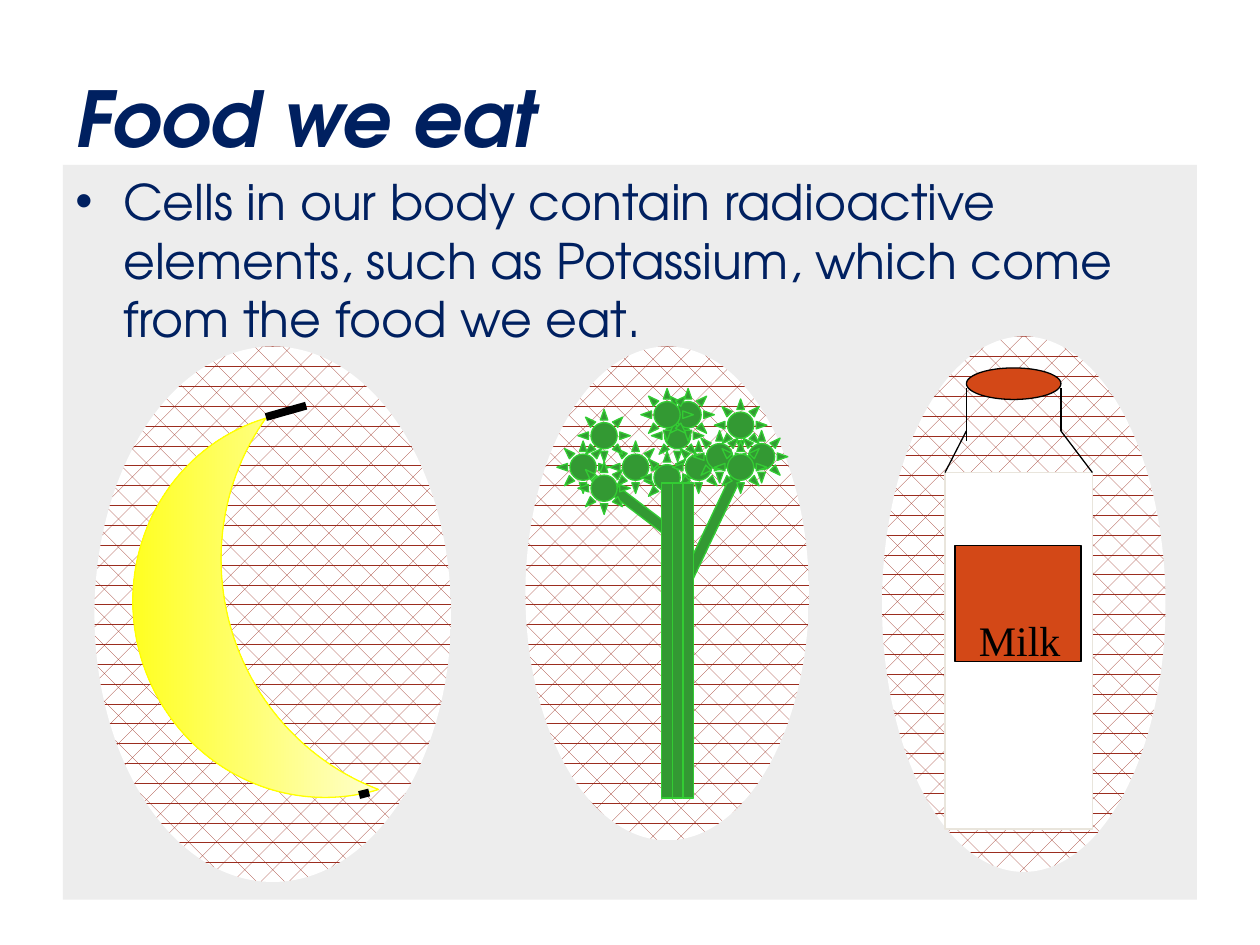
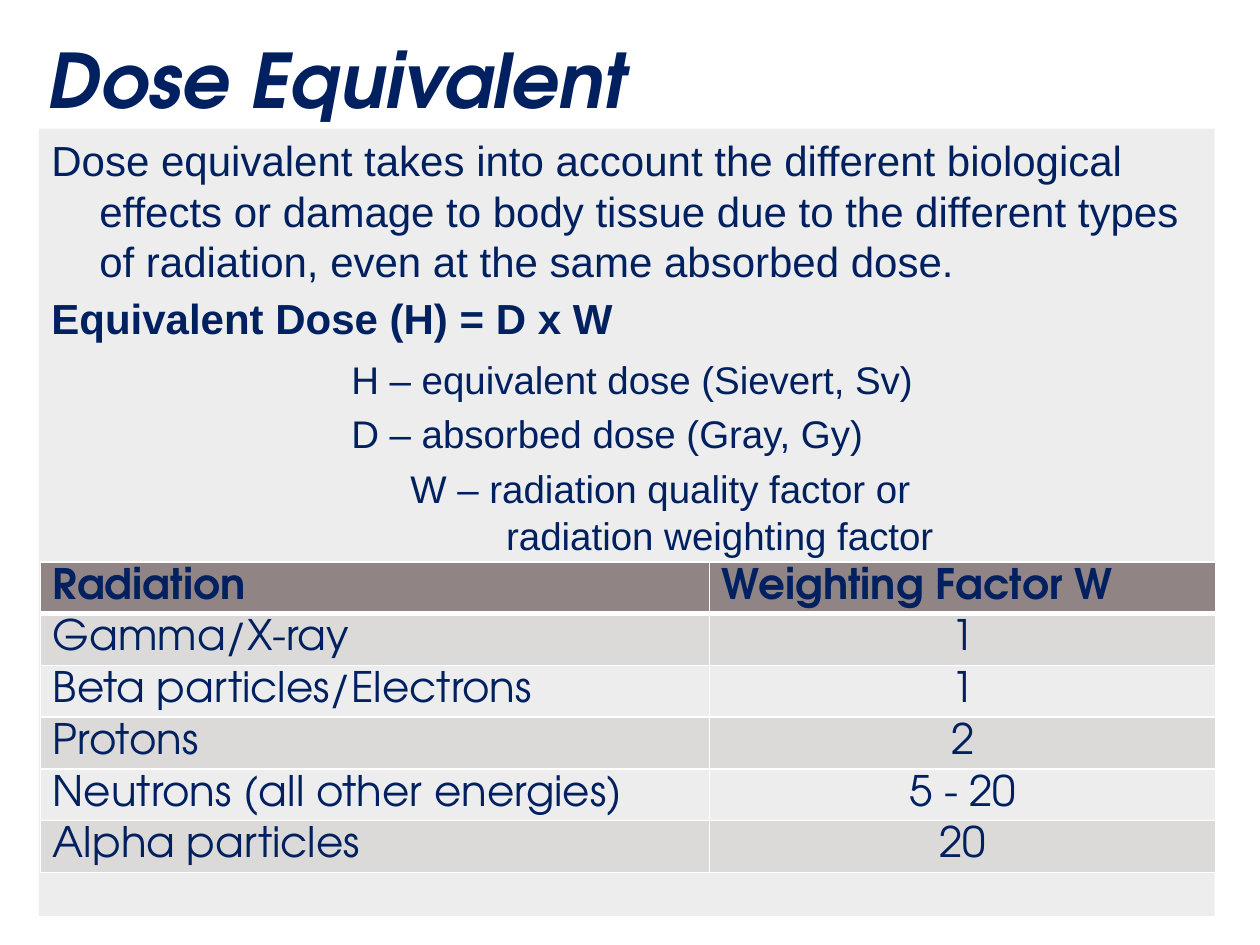
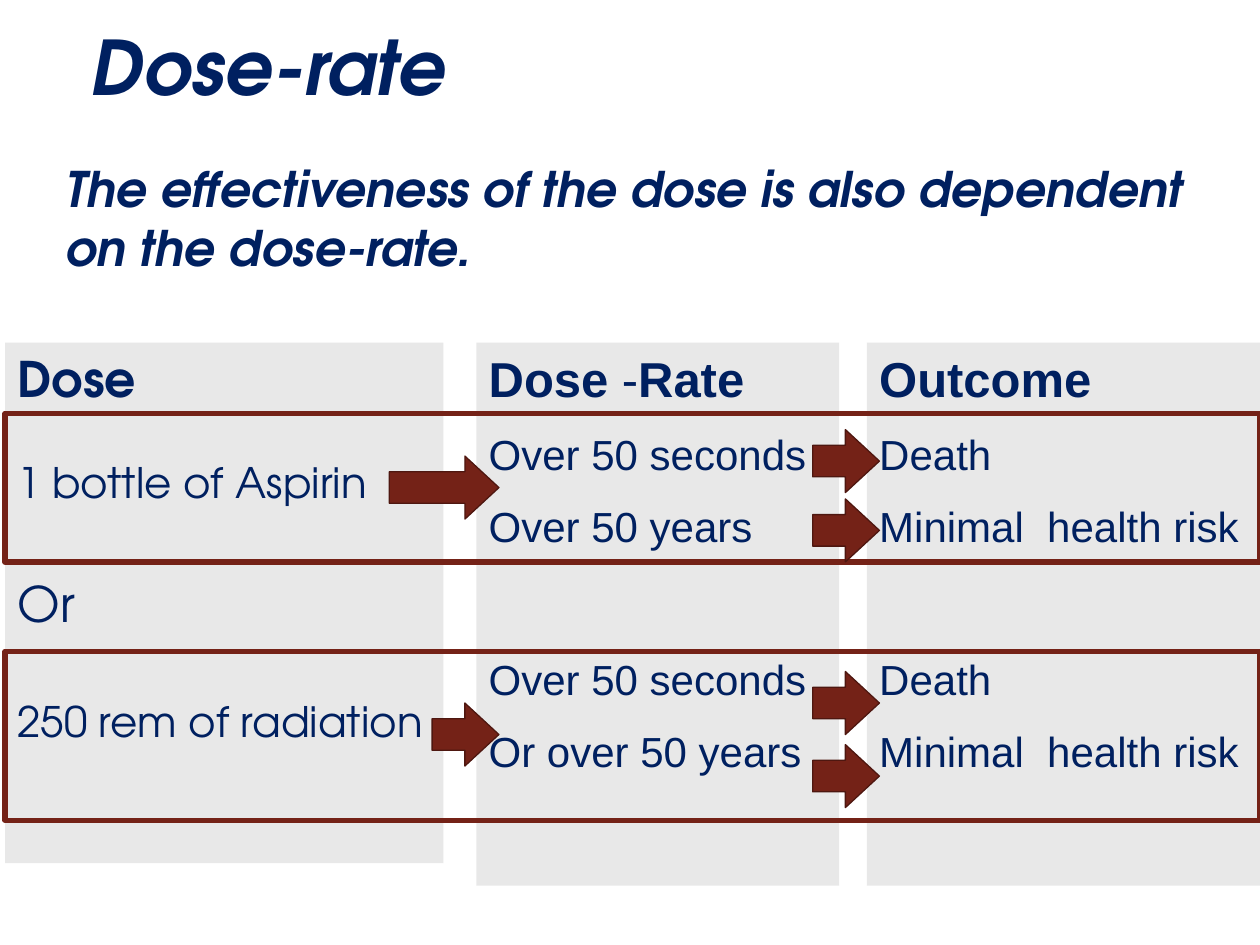
from pptx import Presentation
from pptx.util import Inches, Pt
from pptx.dml.color import RGBColor
from pptx.enum.shapes import MSO_SHAPE, MSO_CONNECTOR
from pptx.enum.dml import MSO_PATTERN
from pptx.enum.text import MSO_ANCHOR, PP_ALIGN
from pptx.oxml.ns import qn
from lxml.etree import SubElement, Element

NAVY, GREY, RUST, MAROON = "002060", "D9D9D9", "9B2D1F", "742217"
LEAF, LIME, CLAY, BLACK, WHITE = "339933", "33CC33", "D34817", "000000", "FFFFFF"
SANS, ROUND, SERIF = "Arial", "TeX Gyre Adventor", "Times New Roman"


def paint(color, code):
    color.rgb = RGBColor.from_string(code)


def style(run, size, face=ROUND, bold=False, italic=False, code=NAVY):
    font = run.font
    font.name, font.size = face, Pt(size)
    font.bold, font.italic = bold, italic
    paint(font.color, code)


def fill(shape, code):
    shape.fill.solid()
    paint(shape.fill.fore_color, code)


def edge(line, code, width=0.75):
    paint(line.color, code)
    line.width = Pt(width)


def add(shapes, kind, box, code=None, line=None, width=0.75):
    shape = shapes.add_shape(kind, *map(Inches, box))
    shape.shadow.inherit = False
    if code:
        fill(shape, code)
    else:
        shape.fill.background()
    if line:
        edge(shape.line, line, width)
    else:
        shape.line.fill.background()
    return shape


def stroke(shapes, start, end, width=0.75):
    line = shapes.add_connector(MSO_CONNECTOR.STRAIGHT, *map(Inches, start + end))
    edge(line.line, BLACK, width)
    SubElement(line.element.spPr, qn("a:effectLst"))


def panel(slide, box, alpha):
    shape = add(slide.shapes, MSO_SHAPE.RECTANGLE, box, GREY)
    color = shape.element.spPr.find(".//" + qn("a:srgbClr"))
    SubElement(color, qn("a:alpha"), val=str(alpha * 1000))
    frame = shape.text_frame
    frame.word_wrap = True
    frame.vertical_anchor = MSO_ANCHOR.TOP
    return frame


def para(frame, index, text, before=0, left=0, hang=0):
    item = frame.add_paragraph() if index else frame.paragraphs[0]
    item.text = text
    item.alignment = PP_ALIGN.LEFT
    if index:
        item.space_before = Pt(before)
    props = item._p.get_or_add_pPr()
    props.set("marL", str(Inches(left)))
    props.set("indent", str(Inches(-hang)))
    return item


def heading(slide, text, box, size=43, anchor=MSO_ANCHOR.MIDDLE):
    title = slide.shapes.title
    title.left, title.top, title.width, title.height = map(Inches, box)
    frame = title.text_frame
    frame.text = text
    frame.word_wrap = True
    frame.vertical_anchor = anchor
    frame.paragraphs[0].alignment = PP_ALIGN.LEFT
    style(frame.paragraphs[0].runs[0], size, bold=True, italic=True)


def plate(slide, box):
    oval = add(slide.shapes, MSO_SHAPE.OVAL, box)
    oval.fill.patterned()
    oval.fill.pattern = MSO_PATTERN.DIVOT
    paint(oval.fill.fore_color, RUST)
    paint(oval.fill.back_color, WHITE)


def banana(slide, box):
    plate(slide, box)
    x, y = box[:2]
    shapes = slide.shapes.add_group_shape().shapes
    moon = add(shapes, MSO_SHAPE.MOON, (x + 0.34, y + 0.72, 1.5, 3.08), line="FFFF00")
    moon.rotation = 343.1
    moon.fill.gradient()
    moon.fill.gradient_angle = 0
    for stop, code in zip(moon.fill.gradient_stops, ("FFFF00", "FFFFCC")):
        paint(stop.color, code)
    moon.element.spPr.find(qn("a:gradFill")).set("rotWithShape", "0")
    stroke(shapes, (x + 1.36, y + 0.56), (x + 1.68, y + 0.47), 4.5)
    stroke(shapes, (x + 2.1, y + 3.56), (x + 2.18, y + 3.54), 4.5)


def greens(slide, box):
    plate(slide, box)
    x, y = box[:2]
    shapes = slide.shapes.add_group_shape().shapes
    unit = 1 / 12
    for dx, dy, tall, turn in ((0.87, 0.96, 0.67, 307.2), (1.41, 0.83, 1.33, 25.4)):
        part = (x + dx, y + dy, unit, tall)
        add(shapes, MSO_SHAPE.RECTANGLE, part, LEAF, LIME).rotation = turn
    buds = ((3, 9), (5, 11), (8, 9), (11, 10), (12, 6), (14, 9), (5, 6),
            (20, 8), (13, 4), (11, 4), (18, 5), (16, 8), (18, 9))
    for col, row in buds:
        part = (x + col * unit, y + row * unit, 5 * unit, 5 * unit)
        add(shapes, MSO_SHAPE.SUN, part, LEAF, LIME)
    for col in (13, 15, 14):
        part = (x + col * unit, y + 13 * unit, unit, 2.5)
        add(shapes, MSO_SHAPE.RECTANGLE, part, LEAF, LIME)


def bottle(slide, box):
    plate(slide, box)
    x, y = box[:2]
    shapes = slide.shapes.add_group_shape().shapes
    add(shapes, MSO_SHAPE.OVAL, (x + 0.67, y + 0.25, 0.75, 0.25), CLAY, BLACK)
    add(shapes, MSO_SHAPE.RECTANGLE, (x + 0.5, y + 1.08, 1.17, 2.83), WHITE, "E9E5DC")
    for x1, y1, x2, y2 in ((0.67, 0.41, 0.67, 0.83), (1.42, 0.41, 1.42, 0.75),
                           (0.5, 1.08, 0.67, 0.75), (1.67, 1.08, 1.42, 0.75)):
        stroke(shapes, (x + x1, y + y1), (x + x2, y + y2))
    add(shapes, MSO_SHAPE.RECTANGLE, (x + 0.58, y + 1.66, 1, 0.92), CLAY, BLACK)
    label = shapes.add_textbox(*map(Inches, (x + 0.67, y + 2.16, 0.92, 0.5)))
    frame = label.text_frame
    frame.word_wrap = True
    frame.text = "Milk"
    style(frame.paragraphs[0].runs[0], 24, SERIF, code=BLACK)


def food(slide):
    heading(slide, "Food we eat", (0.5, 0.3, 9, 1.25), 44)
    frame = panel(slide, (0.5, 1.31, 9, 5.83), 47)
    item = para(frame, 0, "Cells in our body contain radioactive elements, such as "
                "Potassium, which come from the food we eat.", 0, 0.38, 0.38)
    props = item._p.get_or_add_pPr()
    SubElement(props, qn("a:buFont"), typeface=SANS)
    SubElement(props, qn("a:buChar"), char="•")
    style(item.runs[0], 28)
    banana(slide, (0.75, 2.75, 2.83, 4.25))
    bottle(slide, (7, 2.67, 2.25, 4.25))
    greens(slide, (4.17, 2.75, 2.25, 3.92))


def border(cell, head):
    props = cell._tc.get_or_add_tcPr()
    for index, side in enumerate("LRTB"):
        width = 3 if head and side == "B" else 1
        line = Element(qn("a:ln" + side), w=str(Pt(width)))
        solid = SubElement(line, qn("a:solidFill"))
        SubElement(solid, qn("a:srgbClr"), val=WHITE)
        props.insert(index, line)


def factors(slide, box, rows):
    grid = slide.shapes.add_table(len(rows), 2, *map(Inches, box)).table
    for col, wide in zip(grid.columns, (5.31, 4.02)):
        col.width = Inches(wide)
    for r, row in enumerate(rows):
        grid.rows[r].height = Inches(box[3] / len(rows))
        for c, text in enumerate(row):
            cell = grid.cell(r, c)
            cell.text = text
            item = cell.text_frame.paragraphs[0]
            item.alignment = PP_ALIGN.CENTER if r and c else PP_ALIGN.LEFT
            style(item.runs[0], 24, bold=r == 0)
            fill(cell, ("DCD9D9" if r % 2 else "EEEDED") if r else "918485")
            border(cell, r == 0)


def dose(slide):
    heading(slide, "Dose Equivalent", (0.28, 0, 9.61, 1.25))
    frame = panel(slide, (0.31, 1.02, 9.33, 6.25), 47)
    lines = (
        ("Dose equivalent takes into account the different biological effects or "
         "damage to body tissue due to the different types of radiation, even at "
         "the same absorbed dose.", 24, 0, 0.38, 0.38),
        ("Equivalent Dose (H) = D x W", 24, 4, 0.38, 0.38),
        ("H – equivalent dose (Sievert, Sv)", 22, 7, 2.38, 0),
        ("D – absorbed dose (Gray, Gy)", 22, 5, 2.38, 0),
        ("W – radiation quality factor or", 22, 5, 2.85, 0),
        ("radiation weighting factor", 22, 0, 3.61, 0),
    )
    for index, (text, size, before, left, hang) in enumerate(lines):
        item = para(frame, index, text, before, left, hang)
        style(item.runs[0], size, SANS, bold=index == 1)
    factors(slide, (0.32, 4.46, 9.33, 2.46), (
        ("Radiation", "Weighting Factor W"),
        ("Gamma/X-ray", "1"),
        ("Beta particles/Electrons", "1"),
        ("Protons", "2"),
        ("Neutrons (all other energies)", "5 - 20"),
        ("Alpha particles", "20"),
    ))


def column(slide, box, face, head, lines):
    frame = panel(slide, box, 60)
    item = para(frame, 0, "")
    for index, text in enumerate(head):
        run = item.add_run()
        run.text = text
        style(run, 28, face, bold=index % 2 == 0)
    for index, (text, size, before) in enumerate(lines, 1):
        style(para(frame, index, text, before).runs[0], size, face)


def arrow(slide, box):
    shape = add(slide.shapes, MSO_SHAPE.RIGHT_ARROW, box, MAROON, "4E1710")
    shape.adjustments[1] = 0.54


def rate(slide):
    heading(slide, "The effectiveness of the dose is also dependent on the dose-rate.",
            (0.42, 1.21, 9.25, 1.51), 28, MSO_ANCHOR.TOP)
    top = slide.shapes.add_textbox(*map(Inches, (0.62, 0.11, 7.92, 0.82))).text_frame
    top.word_wrap = True
    top.text = "Dose-rate"
    style(top.paragraphs[0].runs[0], 43, bold=True, italic=True)

    gaps = (12, 12, 59, 12)
    spans = ("Over 50 seconds", "Over 50 years", "Over 50 seconds", "Or over 50 years")
    ends = ("Death", "Minimal  health risk") * 2
    column(slide, (6.88, 2.72, 3.13, 4.31), SANS, ("Outcome",),
           [(text, 24, gap) for text, gap in zip(ends, gaps)])
    column(slide, (3.78, 2.72, 2.88, 4.31), SANS, ("Dose ", "-", "Rate"),
           [(text, 24, gap) for text, gap in zip(spans, gaps)])
    column(slide, (0.04, 2.72, 3.48, 4.13), ROUND, ("Dose",),
           (("1 bottle of Aspirin", 24, 28), ("Or", 28, 38),
            ("250 rem of radiation", 24, 36)))
    for y, tall in ((3.28, 1.18), (5.17, 1.34)):
        add(slide.shapes, MSO_SHAPE.RECTANGLE, (0.04, y, 9.96, tall), None, MAROON, 3)
    arrow(slide, (3.09, 3.62, 0.87, 0.5))
    arrow(slide, (3.43, 5.58, 0.53, 0.5))
    for y in (3.41, 3.96, 5.33, 5.91):
        arrow(slide, (6.45, y, 0.53, 0.5))


def main():
    deck = Presentation()
    deck.slide_width, deck.slide_height = Inches(10), Inches(7.5)
    for build in (food, dose, rate):
        build(deck.slides.add_slide(deck.slide_layouts[5]))
    deck.save("out.pptx")


if __name__ == "__main__":
    main()
